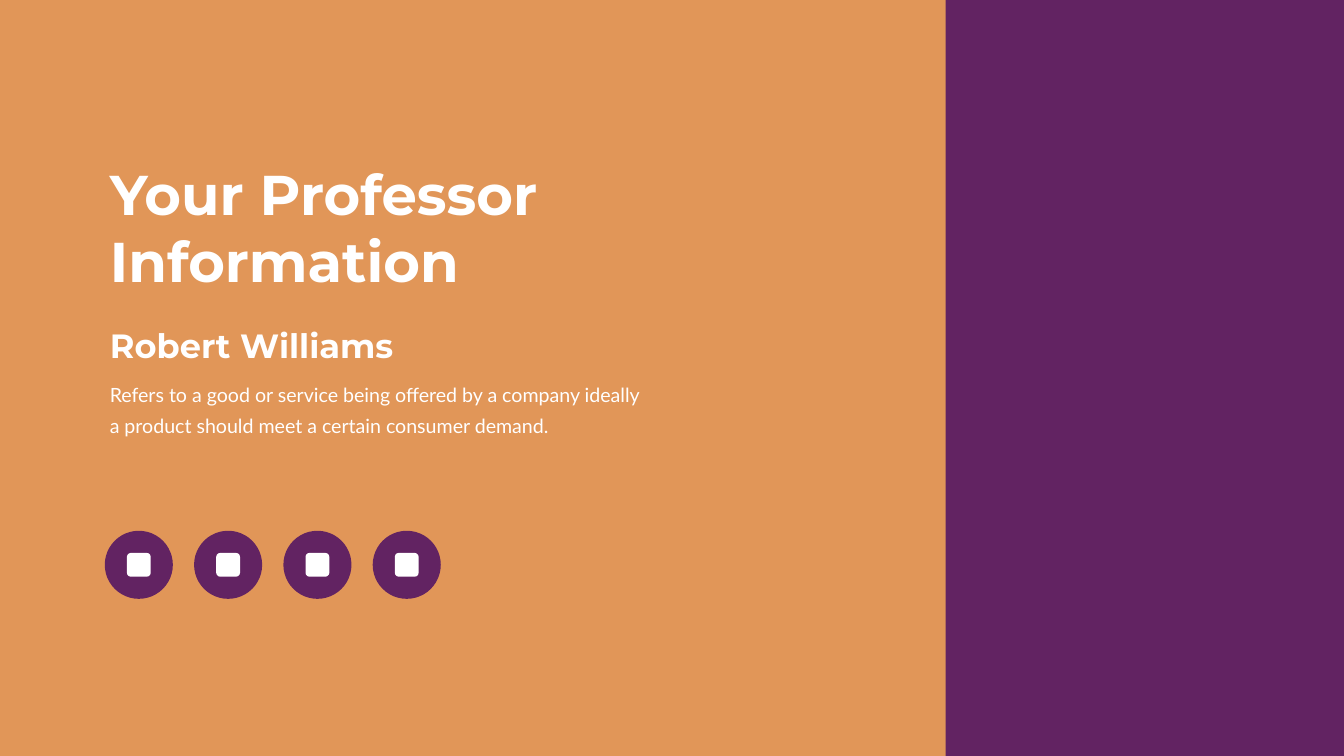
"""Builds the professor contact slide."""
from dataclasses import dataclass
from lxml.etree import SubElement
from pptx import Presentation
from pptx.dml.color import RGBColor as Rgb
from pptx.enum.shapes import MSO_SHAPE as Kind
from pptx.enum.text import MSO_ANCHOR as Anchor, MSO_AUTO_SIZE as Fit, PP_ALIGN as Align
from pptx.oxml.ns import qn
from pptx.util import Cm, Pt


@dataclass(frozen=True)
class Theme:
    sand: Rgb = Rgb(0xE1, 0x96, 0x58)
    plum: Rgb = Rgb(0x62, 0x23, 0x62)
    white: Rgb = Rgb(0xFF, 0xFF, 0xFF)
    head: str = "Montserrat"
    text: str = "Lato"
    big: Pt = Pt(80)
    mid: Pt = Pt(48)
    small: Pt = Pt(28)
    lead: Pt = Pt(43)


theme = Theme()
deck = Presentation()
deck.slide_width, deck.slide_height = Cm(67.72), Cm(38.1)
slide = deck.slides.add_slide(deck.slide_layouts[1])
shapes = slide.shapes


def draw(kind, left, top, width, height, color):
    shape = shapes.add_shape(kind, Cm(left), Cm(top), Cm(width), Cm(height))
    shape.shadow.inherit = False
    shape.fill.solid()
    shape.fill.fore_color.rgb = color
    shape.line.fill.background()
    return shape


def write(box, spot, words, font, size, bold, pad):
    box.left, box.top, box.width, box.height = [Cm(n) for n in spot]
    frame = box.text_frame
    frame.word_wrap = True
    frame.auto_size = Fit.NONE
    frame.vertical_anchor = Anchor.TOP
    frame.margin_left = frame.margin_right = Cm(2 * pad)
    frame.margin_top = frame.margin_bottom = Cm(pad)
    para = frame.paragraphs[0]
    para.alignment = Align.LEFT
    para.space_before = Pt(0)
    run = para.add_run()
    run.text = words
    run.font.name, run.font.size, run.font.bold = font, size, bold
    run.font.color.rgb = theme.white
    return para


back = draw(Kind.RECTANGLE, 0, 0, 67.72, 38.1, theme.sand)
panel = draw(Kind.RECTANGLE, 47.65, 0, 20.07, 38.1, theme.plum)
tree = back._element.getparent()
for place, shape in enumerate((back, panel), 2):
    tree.insert(place, shape._element)

write(shapes.title, (5.28, 7.92, 24.61, 7.09), "Your Professor Information",
      theme.head, theme.big, True, 0.13)

about = write(slide.placeholders[1], (4.93, 18.69, 27.99, 3.51),
              "Refers to a good or service being offered by a company ideally "
              "a product should meet a certain consumer demand.",
              theme.text, theme.small, False, 0.3)
about.line_spacing = theme.lead
props = about._p.get_or_add_pPr()
props.set("marL", "0")
props.set("indent", "0")
SubElement(props, qn("a:buNone"))

name = shapes.add_textbox(0, 0, 0, 0)
write(name, (5.28, 16.26, 15.98, 2.31), "Robert Williams",
      theme.head, theme.mid, True, 0.13)

disc, icon, step = 3.43, 1.2, 4.5
inset = (disc - icon) / 2
for slot in range(4):
    left, top = 5.28 + slot * step, 26.75
    draw(Kind.OVAL, left, top, disc, disc, theme.plum)
    draw(Kind.ROUNDED_RECTANGLE, left + inset, top + inset, icon, icon, theme.white)

deck.save("out.pptx")
